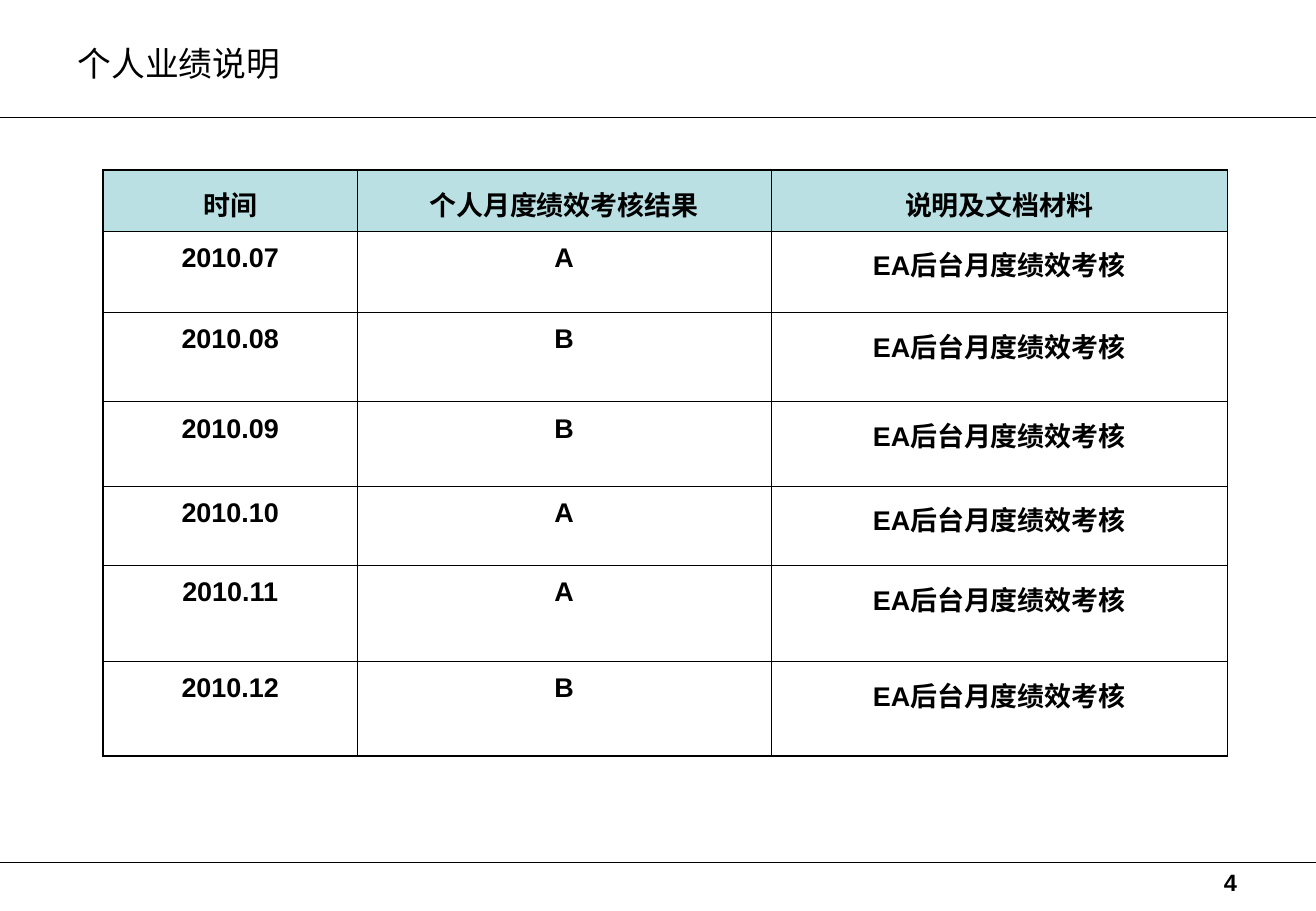
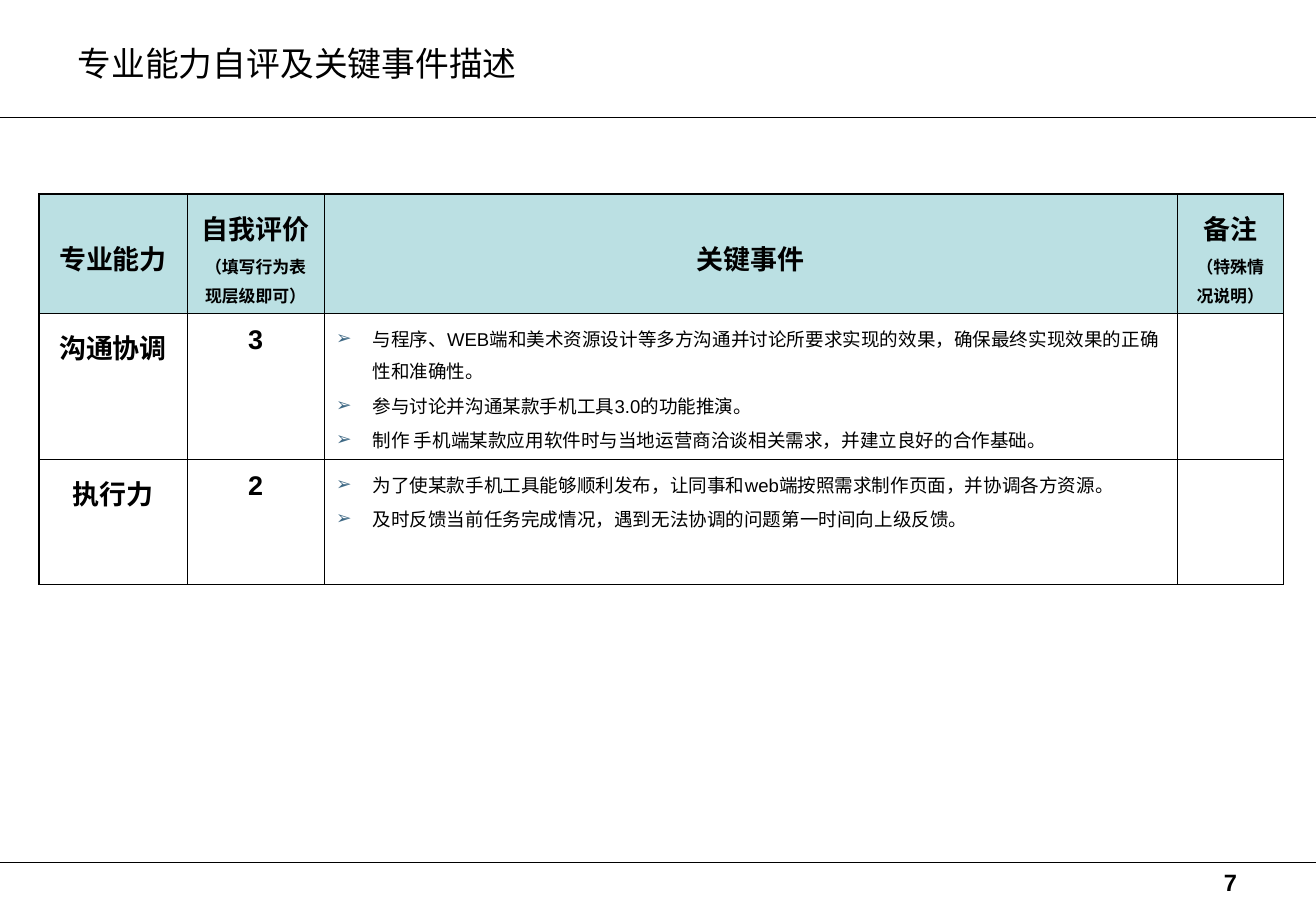
from dataclasses import dataclass

from lxml.etree import SubElement
from pptx import Presentation
from pptx.dml.color import RGBColor
from pptx.enum.lang import MSO_LANGUAGE_ID as Lang
from pptx.enum.shapes import MSO_CONNECTOR as Connector
from pptx.enum.text import MSO_ANCHOR as Anchor, MSO_AUTO_SIZE as AutoSize, PP_ALIGN as Align
from pptx.oxml.ns import qn
from pptx.util import Cm, Pt

WIDTH, HEIGHT = 27.53, 19.05
BLACK, HEADER_FILL, BULLET_COLOR = "000000", "BBE0E3", "3F6985"
LATIN, CJK = "Arial", "Noto Sans CJK SC"
THIN, THICK = 0.45, 1.08
RULE_TOPS = (2.46, 18.03)
BULLET_INDENT = 0.76


@dataclass(frozen=True)
class Style:
    size: float
    before: float = 0
    bold: bool = True
    font: str = LATIN
    align: Align = Align.CENTER
    spacing: float = 1.2
    bullet: str = ""


TITLE = Style(20, bold=False, font=CJK, align=Align.LEFT, spacing=1)
NUMBER = Style(14, align=Align.RIGHT, spacing=1)
MAIN = Style(16, before=2)
NOTE = Style(10, before=1.2)
EVENT = Style(11, before=1.4, bold=False, align=Align.LEFT, bullet="➢")


@dataclass(frozen=True)
class Grid:
    left: float
    top: float
    widths: tuple[float, ...]
    heights: tuple[float, ...]
    rows: list[tuple[str, ...]]
    header_anchor: Anchor = Anchor.TOP
    event_column: int = -1


@dataclass(frozen=True)
class Page:
    number: int
    title: str
    grid: Grid


MONTHS = [("2010.07", "A"), ("2010.08", "B"), ("2010.09", "B"),
          ("2010.10", "A"), ("2010.11", "A"), ("2010.12", "B")]

RESULTS = Grid(
    2.16, 3.56, (5.31, 8.66, 9.55), (1.27, 1.7, 1.87, 1.76, 1.66, 2.01, 1.98),
    [("时间", "个人月度绩效考核结果", "说明及文档材料")]
    + [(month, grade, "EA后台月度绩效考核") for month, grade in MONTHS],
)

ABILITIES = Grid(
    0.82, 4.06, (3.09, 2.87, 17.84, 2.23), (2.49, 3.05, 2.62),
    [
        ("专业能力", "自我评价\n（填写行为表现层级即可）", "关键事件", "备注\n（特殊情况说明）"),
        ("沟通协调", "3",
         "与程序、WEB端和美术资源设计等多方沟通并讨论所要求实现的效果，确保最终实现效果的正确性和准确性。\n"
         "参与讨论并沟通某款手机工具3.0的功能推演。\n"
         "制作 手机端某款应用软件时与当地运营商洽谈相关需求，并建立良好的合作基础。", ""),
        ("执行力", "2",
         "为了使某款手机工具能够顺利发布，让同事和web端按照需求制作页面，并协调各方资源。\n"
         "及时反馈当前任务完成情况，遇到无法协调的问题第一时间向上级反馈。", ""),
    ],
    header_anchor=Anchor.MIDDLE,
    event_column=2,
)

PAGES = [
    Page(4, "个人业绩说明", RESULTS),
    Page(7, "专业能力自评及关键事件描述", ABILITIES),
]


def rgb(color: str) -> RGBColor:
    return RGBColor.from_string(color)


def add_bullet(p, char: str) -> None:
    pPr = p._p.get_or_add_pPr()
    pPr.set("marL", str(Cm(BULLET_INDENT)))
    pPr.set("indent", str(-Cm(BULLET_INDENT)))
    SubElement(SubElement(pPr, qn("a:buClr")), qn("a:srgbClr"), val=BULLET_COLOR)
    SubElement(pPr, qn("a:buFont"), typeface=LATIN)
    SubElement(pPr, qn("a:buChar"), char=char)


def format_paragraph(p, style: Style) -> None:
    p.alignment = style.align
    p.line_spacing = style.spacing
    p.space_before = Pt(style.before)
    if style.bullet:
        add_bullet(p, style.bullet)
    for r in p.runs:
        r.font.size = Pt(style.size)
        r.font.bold = style.bold
        r.font.name = style.font
        r.font.color.rgb = rgb(BLACK)
        r.font.language_id = Lang.SIMPLIFIED_CHINESE
        SubElement(r._r.get_or_add_rPr(), qn("a:ea"), typeface=CJK)


def set_text(tf, text: str, first: Style, rest: Style) -> None:
    tf.text = text
    for i, p in enumerate(tf.paragraphs):
        format_paragraph(p, rest if i else first)


def add_borders(cell, left: float, right: float, top: float, bottom: float) -> None:
    tcPr = cell._tc.get_or_add_tcPr()
    for side, width in zip("LRTB", (left, right, top, bottom)):
        ln = SubElement(tcPr, qn(f"a:ln{side}"), w=str(Pt(width)))
        SubElement(SubElement(ln, qn("a:solidFill")), qn("a:srgbClr"), val=BLACK)


def add_grid(s, grid: Grid) -> None:
    n_rows, n_cols = len(grid.heights), len(grid.widths)
    table = s.shapes.add_table(
        n_rows, n_cols, Cm(grid.left), Cm(grid.top),
        Cm(sum(grid.widths)), Cm(sum(grid.heights))).table
    table.first_row = table.horz_banding = False
    for column, width in zip(table.columns, grid.widths):
        column.width = Cm(width)
    for row, height in zip(table.rows, grid.heights):
        row.height = Cm(height)

    for i, texts in enumerate(grid.rows):
        for j, text in enumerate(texts):
            cell = table.cell(i, j)
            edges = (j == 0, j == n_cols - 1, i == 0, i == n_rows - 1)
            add_borders(cell, *(THICK if edge else THIN for edge in edges))
            if i == 0:
                cell.fill.solid()
                cell.fill.fore_color.rgb = rgb(HEADER_FILL)
                cell.vertical_anchor = grid.header_anchor
                set_text(cell.text_frame, text, MAIN, NOTE)
            else:
                cell.fill.background()
                style = EVENT if j == grid.event_column else MAIN
                if text:
                    set_text(cell.text_frame, text, style, style)


def add_rule(s, top: float) -> None:
    line = s.shapes.add_connector(Connector.STRAIGHT, 0, Cm(top), Cm(WIDTH), Cm(top))
    line.line.color.rgb = rgb(BLACK)
    line.line.width = Pt(0.25)
    SubElement(line.element.spPr, qn("a:effectLst"))


def add_title(s, text: str) -> None:
    title = s.shapes.title
    title.left, title.top, title.width, title.height = Cm(1.37), Cm(0.76), Cm(22.9), Cm(1.55)
    tf = title.text_frame
    tf.auto_size = AutoSize.NONE
    tf.vertical_anchor = Anchor.TOP
    set_text(tf, text, TITLE, TITLE)


def add_number(s, number: int) -> None:
    box = s.shapes.add_textbox(Cm(24.56), Cm(18.03), Cm(1.57), Cm(0.86))
    box.text_frame.word_wrap = True
    set_text(box.text_frame, str(number), NUMBER, NUMBER)


def add_page(prs, page: Page) -> None:
    s = prs.slides.add_slide(prs.slide_layouts[5])
    for top in RULE_TOPS:
        add_rule(s, top)
    add_title(s, page.title)
    add_number(s, page.number)
    add_grid(s, page.grid)


def main() -> None:
    prs = Presentation()
    prs.slide_width, prs.slide_height = Cm(WIDTH), Cm(HEIGHT)
    for page in PAGES:
        add_page(prs, page)
    prs.save("out.pptx")


if __name__ == "__main__":
    main()
